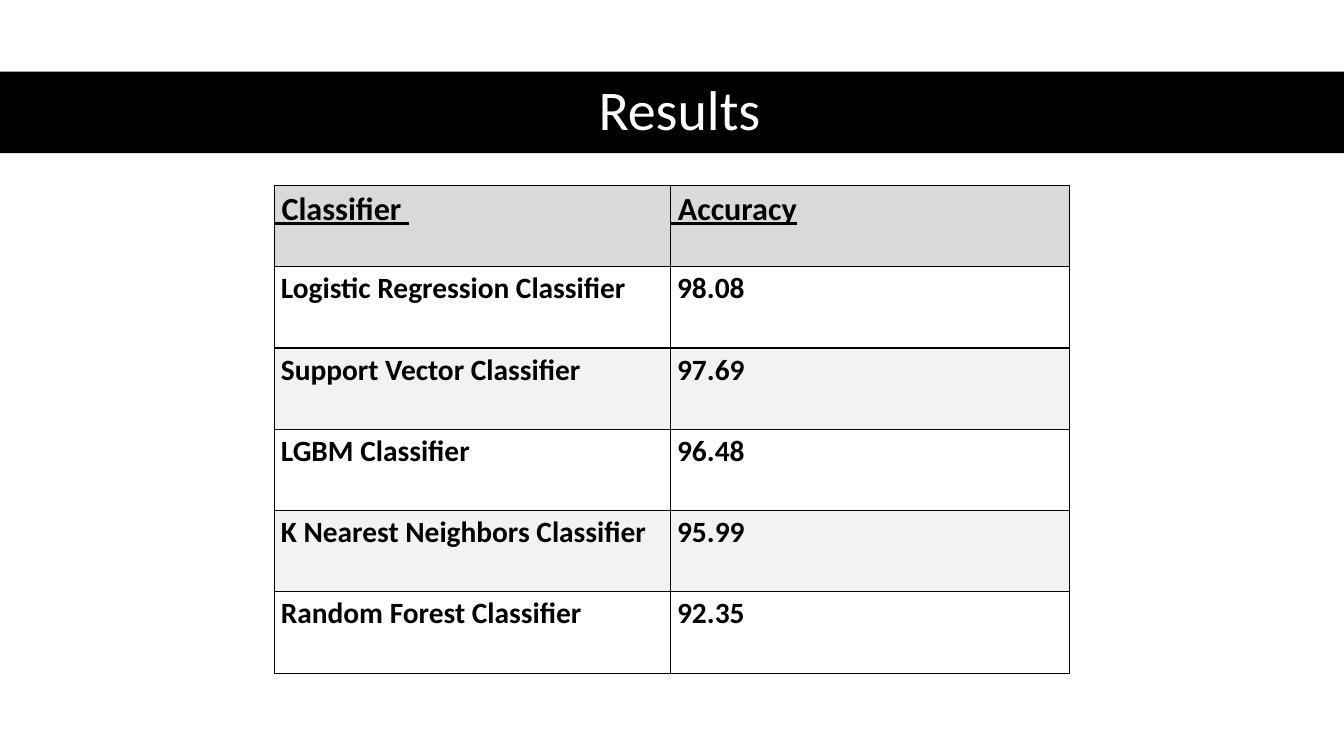
from dataclasses import dataclass

from lxml.etree import SubElement
from pptx import Presentation
from pptx.dml.color import RGBColor
from pptx.enum.shapes import MSO_SHAPE as Shape
from pptx.enum.text import MSO_ANCHOR as Anchor, PP_ALIGN as Align
from pptx.oxml.ns import qn
from pptx.util import Inches, Pt

# Content
TITLE = "Results"
HEADINGS = (" Classifier ", " Accuracy")
RESULTS = [
    (" Logistic Regression Classifier", " 98.08"),
    (" Support Vector Classifier", " 97.69"),
    (" LGBM Classifier", " 96.48"),
    (" K Nearest Neighbors Classifier", " 95.99"),
    (" Random Forest Classifier", " 92.35"),
]


@dataclass(frozen=True)
class Theme:
    font: str = "Calibri"
    black: str = "000000"
    white: str = "FFFFFF"
    header_fill: str = "D9D9D9"
    band_fill: str = "F2F2F2"
    title_size: int = 40
    header_size: int = 23
    body_size: int = 21
    border_width: int = 1


theme = Theme()

# Layout in inches
PAGE_WIDTH, PAGE_HEIGHT = 13.33, 7.5
BAND_TOP, BAND_HEIGHT = 0.71, 0.81
TITLE_LEFT, TITLE_WIDTH = 0.61, 12.26
TABLE_LEFT, TABLE_TOP, TABLE_HEIGHT = 2.72, 1.84, 4.84
COLUMN_WIDTHS = (3.93, 3.96)


def write(frame, text, size, color=theme.black, bold=False,
          underline=False, align=Align.LEFT, spacing=1.0):
    para = frame.paragraphs[0]
    para.alignment = align
    para.line_spacing = spacing
    span = para.add_run()
    span.text = text
    font = span.font
    font.name, font.size = theme.font, Pt(size)
    font.bold, font.underline = bold, underline
    font.color.rgb = RGBColor.from_string(color)


def add_borders(cell):
    properties = cell._tc.get_or_add_tcPr()
    for position, side in enumerate(("lnL", "lnR", "lnT", "lnB")):
        line = SubElement(properties, qn(f"a:{side}"), w=str(Pt(theme.border_width)))
        fill = SubElement(line, qn("a:solidFill"))
        SubElement(fill, qn("a:srgbClr"), val=theme.black)
        properties.insert(position, line)  # borders come before the fill


def add_title(page):
    band = page.shapes.add_shape(Shape.RECTANGLE, 0, Inches(BAND_TOP),
                                 Inches(PAGE_WIDTH), Inches(BAND_HEIGHT))
    band.shadow.inherit = False
    band.fill.solid()
    band.fill.fore_color.rgb = RGBColor.from_string(theme.black)
    band.line.fill.background()

    box = page.shapes.add_textbox(Inches(TITLE_LEFT), Inches(BAND_TOP),
                                  Inches(TITLE_WIDTH), Inches(BAND_HEIGHT))
    box.text_frame.word_wrap = True
    box.text_frame.vertical_anchor = Anchor.MIDDLE
    write(box.text_frame, TITLE, theme.title_size, color=theme.white,
          align=Align.CENTER, spacing=0.9)


def add_results(page):
    rows = [HEADINGS, *RESULTS]
    table = page.shapes.add_table(
        len(rows), len(HEADINGS), Inches(TABLE_LEFT), Inches(TABLE_TOP),
        Inches(sum(COLUMN_WIDTHS)), Inches(TABLE_HEIGHT)).table
    for column, width in zip(table.columns, COLUMN_WIDTHS):
        column.width = Inches(width)

    for row_index, texts in enumerate(rows):
        is_header = row_index == 0
        body_fill = theme.white if row_index % 2 else theme.band_fill
        fill = theme.header_fill if is_header else body_fill
        size = theme.header_size if is_header else theme.body_size
        for column_index, text in enumerate(texts):
            cell = table.cell(row_index, column_index)
            cell.margin_left, cell.margin_top = 0, Inches(0.04)
            cell.margin_right, cell.margin_bottom = Inches(0.11), Inches(0.32)
            cell.fill.solid()
            cell.fill.fore_color.rgb = RGBColor.from_string(fill)
            add_borders(cell)
            write(cell.text_frame, text, size, bold=True, underline=is_header)


def main():
    deck = Presentation()
    deck.slide_width, deck.slide_height = Inches(PAGE_WIDTH), Inches(PAGE_HEIGHT)
    page = deck.slides.add_slide(deck.slide_layouts[6])
    add_title(page)
    add_results(page)
    deck.save("out.pptx")


if __name__ == "__main__":
    main()
